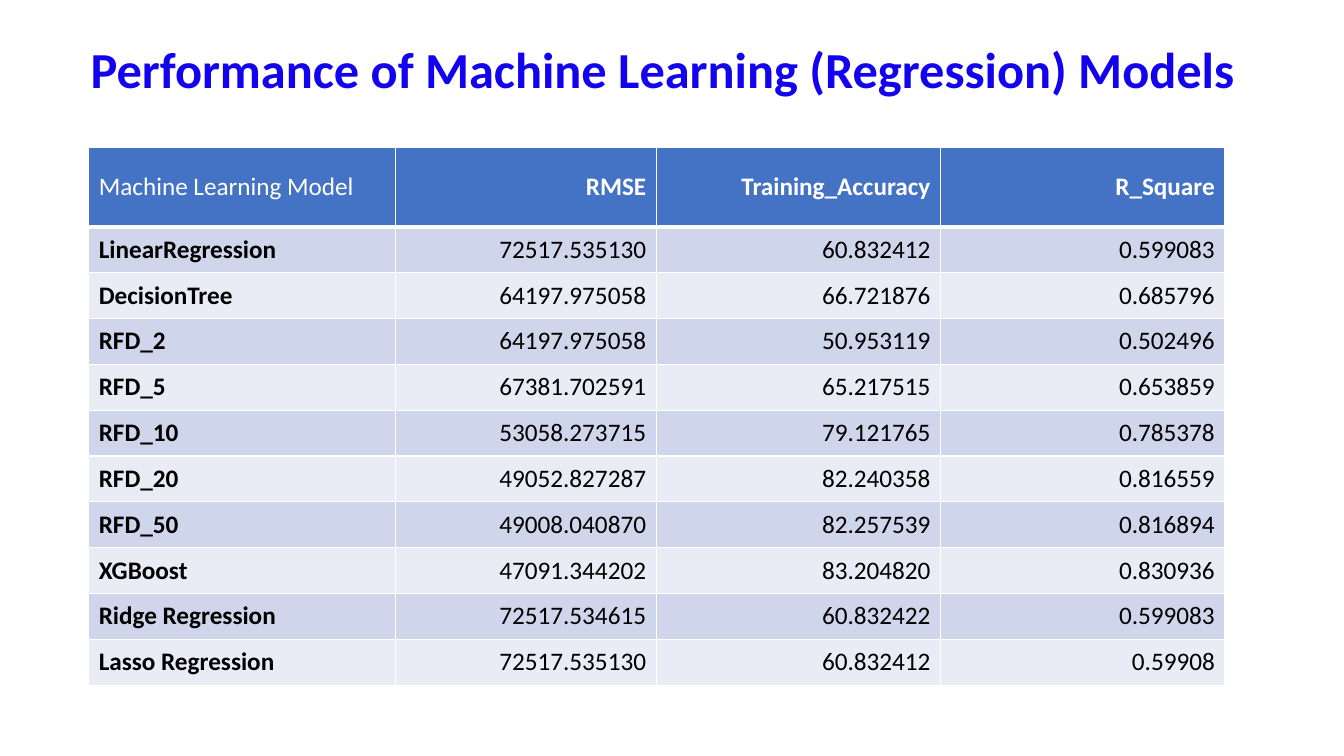
"""Build a slide that compares regression models in one table."""
from lxml.etree import SubElement
from pptx import Presentation
from pptx.dml.color import RGBColor
from pptx.enum.text import MSO_ANCHOR as Anchor, PP_ALIGN as Align
from pptx.oxml.ns import qn
from pptx.util import Inches, Pt

TITLE = "Performance of Machine Learning (Regression) Models "
HEADER = ("Machine Learning Model", "RMSE", "Training_Accuracy", "R_Square")
MODELS = [
    ("LinearRegression", "72517.535130", "60.832412", "0.599083"),
    ("DecisionTree", "64197.975058", "66.721876", "0.685796"),
    ("RFD_2", "64197.975058", "50.953119", "0.502496"),
    ("RFD_5", "67381.702591", "65.217515", "0.653859"),
    ("RFD_10", "53058.273715", "79.121765", "0.785378"),
    ("RFD_20", "49052.827287", "82.240358", "0.816559"),
    ("RFD_50", "49008.040870", "82.257539", "0.816894"),
    ("XGBoost", "47091.344202", "83.204820", "0.830936"),
    ("Ridge Regression", "72517.534615", "60.832422", "0.599083"),
    ("Lasso Regression", "72517.535130", "60.832412", "0.59908"),
]
TITLE_BOX = (0.8, 0.4, 11.61, 0.88)
TABLE_BOX = (0.88, 1.46, 11.27, 5.34)
COLUMN_WIDTHS = (3.04, 2.59, 2.82, 2.82)
HEADER_HEIGHT = 0.79
BLUE, WHITE, BLACK = "4472C4", "FFFFFF", "000000"
TITLE_BLUE = "1302EE"
BANDS = ("CFD5EA", "E9EBF5")


def color(value):
    return RGBColor.from_string(value)


def write(paragraph, text, size, text_color, bold):
    run = paragraph.add_run()
    run.text = text
    run.font.name = "Calibri"
    run.font.size = Pt(size)
    run.font.bold = bold
    run.font.color.rgb = color(text_color)


def draw_borders(cell, bottom_width):
    properties = cell._tc.get_or_add_tcPr()
    for side, width in (("L", 1), ("R", 1), ("T", 1), ("B", bottom_width)):
        line = SubElement(properties, qn(f"a:ln{side}"), w=str(Pt(width)))
        fill = SubElement(line, qn("a:solidFill"))
        SubElement(fill, qn("a:srgbClr"), val=WHITE)


def add_title(slide):
    frame = slide.shapes.add_textbox(*map(Inches, TITLE_BOX)).text_frame
    frame.word_wrap = True
    frame.vertical_anchor = Anchor.TOP
    paragraph = frame.paragraphs[0]
    paragraph.line_spacing = 0.9
    write(paragraph, TITLE, 36, TITLE_BLUE, True)


def add_model_table(slide):
    rows = [HEADER, *MODELS]
    table = slide.shapes.add_table(len(rows), len(HEADER), *map(Inches, TABLE_BOX)).table
    for column, width in zip(table.columns, COLUMN_WIDTHS):
        column.width = Inches(width)
    model_height = (TABLE_BOX[3] - HEADER_HEIGHT) / len(MODELS)
    for row_index, values in enumerate(rows):
        is_header = row_index == 0
        table.rows[row_index].height = Inches(HEADER_HEIGHT if is_header else model_height)
        for column_index, value in enumerate(values):
            is_label = column_index == 0
            cell = table.cell(row_index, column_index)
            cell.vertical_anchor = Anchor.MIDDLE
            draw_borders(cell, 3 if is_header else 1)
            cell.fill.solid()
            cell.fill.fore_color.rgb = color(BLUE if is_header else BANDS[(row_index - 1) % 2])
            paragraph = cell.text_frame.paragraphs[0]
            paragraph.alignment = Align.LEFT if is_label else Align.RIGHT
            write(paragraph, value, 18, WHITE if is_header else BLACK, is_header != is_label)


presentation = Presentation()
presentation.slide_width, presentation.slide_height = Inches(13.33), Inches(7.5)
slide = presentation.slides.add_slide(presentation.slide_layouts[6])
add_title(slide)
add_model_table(slide)
presentation.save("out.pptx")
